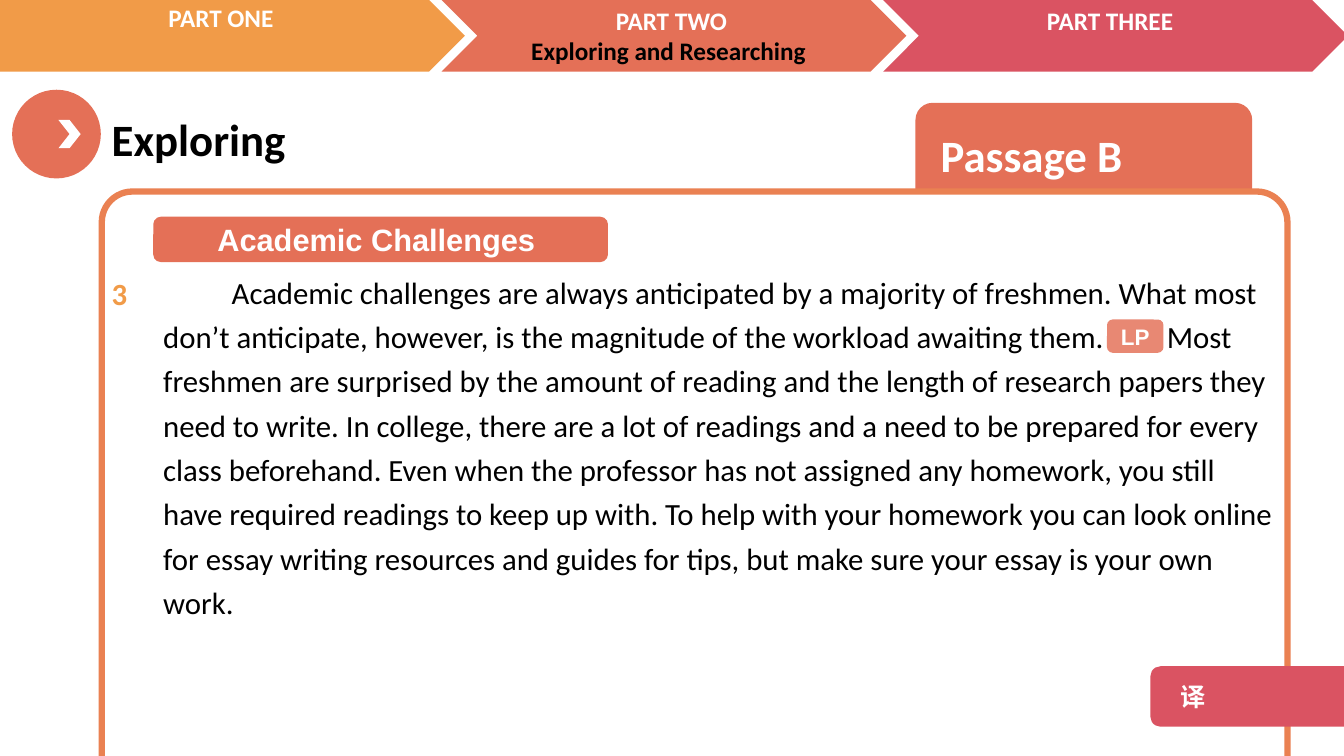
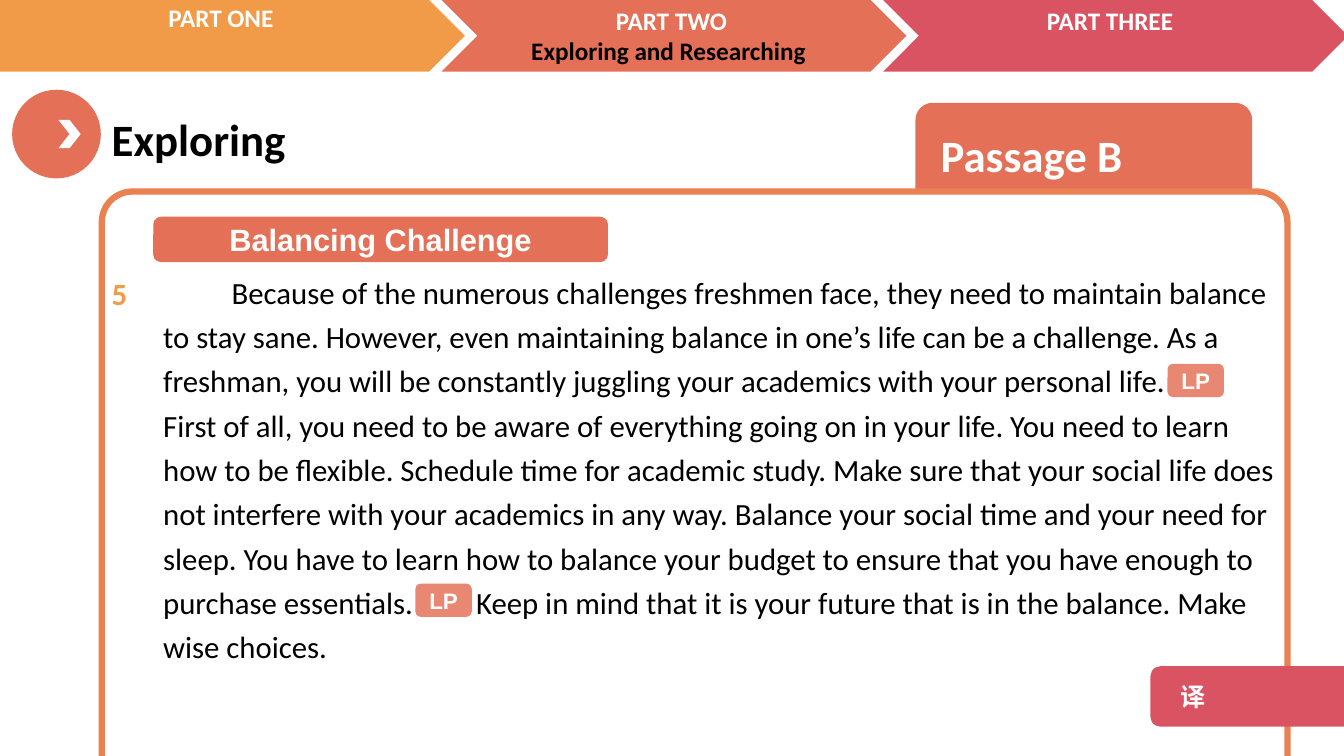
from dataclasses import dataclass
from lxml import etree
from pptx import Presentation
from pptx.dml.color import RGBColor
from pptx.enum.shapes import MSO_SHAPE
from pptx.enum.text import MSO_ANCHOR, PP_ALIGN
from pptx.oxml.ns import qn
from pptx.util import Inches, Pt

CHEVRON, OVAL, ROUND = MSO_SHAPE.CHEVRON, MSO_SHAPE.OVAL, MSO_SHAPE.ROUNDED_RECTANGLE
LEFT, CENTER = PP_ALIGN.LEFT, PP_ALIGN.CENTER
TOP, MIDDLE = MSO_ANCHOR.TOP, MSO_ANCHOR.MIDDLE

CORAL, ORANGE, ROSE, FRAME = "E47057", "F19B48", "DA5362", "EA8152"
WHITE, BLACK = "FFFFFF", "000000"
LATIN, SANS, CJK = "Calibri", "Arial", "Noto Sans CJK SC"
LINE_SPACING = 1.2
BADGE_GAP = Pt(40)


@dataclass(frozen=True)
class Box:
    x: float
    y: float
    w: float
    h: float


@dataclass(frozen=True)
class Style:
    size: int
    color: str = WHITE
    font: str = LATIN
    bold: bool = True
    align: PP_ALIGN = LEFT


@dataclass(frozen=True)
class Part:
    arrow: Box
    label: Box
    color: str
    lines: tuple[str, ...]


@dataclass(frozen=True)
class Passage:
    number: str
    heading: str
    pieces: tuple[str, ...]  # an LP badge sits between each two pieces
    badges: tuple[tuple[float, float], ...]


PART_STYLE = Style(18, align=CENTER)
TITLE = Style(32, BLACK)
TAB = Style(32)
BODY = Style(22, BLACK, bold=False)
NUMBER = Style(22, ORANGE)
HEADING = Style(22, font=SANS, align=CENTER)
BADGE = Style(16, font=SANS, align=CENTER)
TRANSLATE = Style(18, font=CJK)

PARTS = (
    Part(Box(4.38, 0, 4.61, 0.71), Box(4.38, 0, 4.56, 0.71), CORAL,
         ("PART TWO", "Exploring and Researching ")),
    Part(Box(8.76, 0, 4.61, 0.71), Box(8.73, 0, 4.56, 0.4), ROSE, ("PART THREE",)),
    Part(Box(-0.61, 0, 5.22, 0.71), Box(-0.06, -0.03, 4.56, 0.4), ORANGE, ("PART ONE ",)),
)

PASSAGES = (
    Passage(
        "3", "Academic Challenges ",
        ("Academic challenges are always anticipated by a majority of freshmen. What most "
         "don’t anticipate, however, is the magnitude of the workload awaiting them.",
         "Most freshmen are surprised by the amount of reading and the length of research "
         "papers they need to write. In college, there are a lot of readings and a need to be "
         "prepared for every class beforehand. Even when the professor has not assigned any "
         "homework, you still have required readings to keep up with. To help with your "
         "homework you can look online for essay writing resources and guides for tips, but "
         "make sure your essay is your own work."),
        ((10.98, 3.17),)),
    Passage(
        "5", "Balancing Challenge",
        ("Because of the numerous challenges freshmen face, they need to maintain balance to "
         "stay sane. However, even maintaining balance in one’s life can be a challenge. As a "
         "freshman, you will be constantly juggling your academics with your personal life.",
         "First of all, you need to be aware of everything going on in your life. You need to "
         "learn how to be flexible. Schedule time for academic study. Make sure that your "
         "social life does not interfere with your academics in any way. Balance your social "
         "time and your need for sleep. You have to learn how to balance your budget to ensure "
         "that you have enough to purchase essentials.",
         "Keep in mind that it is your future that is in the balance. Make wise choices."),
        ((11.58, 3.61), (4.12, 5.79))),
)


def rgb(color: str) -> RGBColor:
    return RGBColor.from_string(color)


def format_run(r, st: Style) -> None:
    r.font.size, r.font.bold, r.font.name = Pt(st.size), st.bold, st.font
    r.font.color.rgb = rgb(st.color)
    if st.font == CJK:
        etree.SubElement(r.font._element, qn("a:ea"), typeface=CJK)


def write(sp, lines: tuple[str, ...], st: Style, anchor=TOP, inset: float = 0.1):
    tf = sp.text_frame
    tf.word_wrap, tf.vertical_anchor, tf.margin_left = True, anchor, Inches(inset)
    tf.text = "\n".join(lines)
    for p in tf.paragraphs:
        p.alignment = st.align
        for r in p.runs:
            format_run(r, st)
    return tf


def add_text(s, box: Box, lines: tuple[str, ...], st: Style):
    sp = s.shapes.add_textbox(Inches(box.x), Inches(box.y), Inches(box.w), Inches(box.h))
    return write(sp, lines, st)


def add_block(s, kind, box: Box, color: str):
    sp = s.shapes.add_shape(kind, Inches(box.x), Inches(box.y), Inches(box.w), Inches(box.h))
    sp.shadow.inherit = False
    sp.fill.solid()
    sp.fill.fore_color.rgb = rgb(color)
    sp.line.fill.background()
    return sp


def add_header(s) -> None:
    # Section title with its round marker
    add_block(s, OVAL, Box(0.12, 0.89, 0.88, 0.88), CORAL)
    add_block(s, CHEVRON, Box(0.58, 1.19, 0.22, 0.28), WHITE)
    add_text(s, Box(1.01, 1.06, 4.85, 0.64), ("Exploring",), TITLE)

    # Passage tab
    tab = add_block(s, ROUND, Box(9.08, 1.02, 3.34, 1.02), CORAL)
    write(tab, ("Passage B",), TAB, MIDDLE, 0.2)

    # Navigation band
    for part in PARTS:
        add_block(s, CHEVRON, part.arrow, part.color)
    for part in PARTS:
        tf = add_text(s, part.label, part.lines, PART_STYLE)
        for p in tf.paragraphs[1:]:
            p.runs[0].font.color.rgb = rgb(BLACK)


def add_body(s, pieces: tuple[str, ...]) -> None:
    p = add_text(s, Box(1.52, 2.59, 11.25, 4.1), pieces[:1], BODY).paragraphs[0]
    p.line_spacing = LINE_SPACING
    p._p.get_or_add_pPr().set("indent", str(Inches(0.68)))
    for piece in pieces[1:]:
        # One widened space leaves room for the badge
        gap, r = p.add_run(), p.add_run()
        gap.text, r.text = " ", piece
        format_run(gap, BODY)
        format_run(r, BODY)
        gap.font._element.set("spc", str(int(BADGE_GAP.pt * 100)))


def add_badge(s, x: float, y: float) -> None:
    sp = add_block(s, ROUND, Box(x, y, 0.56, 0.33), CORAL)
    clr = sp._element.spPr.find(qn("a:solidFill"))[0]
    etree.SubElement(clr, qn("a:alpha"), val="83000")
    write(sp, ("LP",), BADGE, MIDDLE)


def build_slide(prs, passage: Passage) -> None:
    s = prs.slides.add_slide(prs.slide_layouts[6])
    add_header(s)

    # Frame
    frame = add_block(s, ROUND, Box(1.01, 1.9, 11.76, 6.45), WHITE)
    frame.adjustments[0] = 0.047
    frame.line.color.rgb = rgb(FRAME)
    frame.line.width = Pt(4.5)

    # Passage text
    add_body(s, passage.pieces)
    tf = add_text(s, Box(1.01, 2.6, 0.51, 4.54), (passage.number,), NUMBER)
    tf.paragraphs[0].line_spacing = LINE_SPACING
    heading = add_block(s, ROUND, Box(1.52, 2.15, 4.51, 0.45), CORAL)
    write(heading, (passage.heading,), HEADING, MIDDLE)

    # Buttons
    button = add_block(s, ROUND, Box(11.41, 6.61, 2.13, 0.6), ROSE)
    write(button, ("译",), TRANSLATE, MIDDLE, 0.27)
    for x, y in passage.badges:
        add_badge(s, x, y)


def main() -> None:
    prs = Presentation()
    prs.slide_width, prs.slide_height = Inches(13.33), Inches(7.5)
    for passage in PASSAGES:
        build_slide(prs, passage)
    prs.save("out.pptx")


if __name__ == "__main__":
    main()
